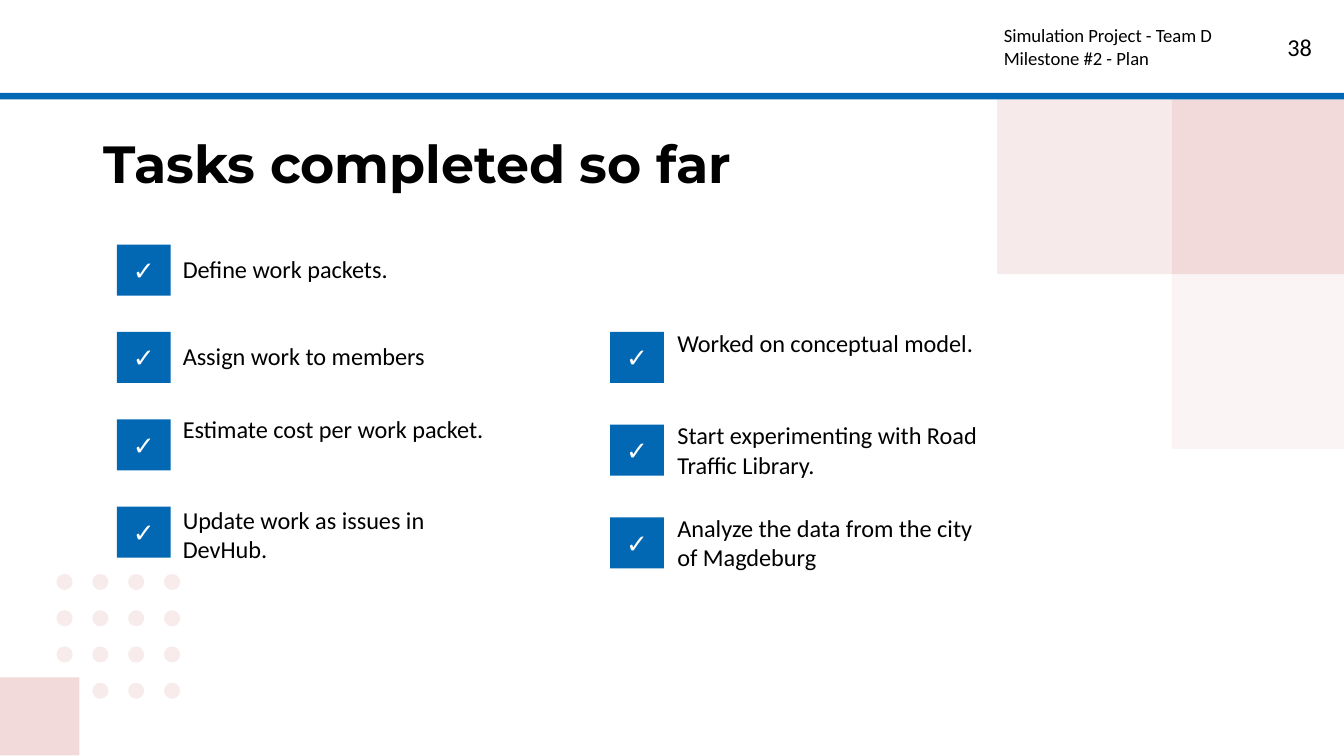
from copy import deepcopy
from dataclasses import dataclass

from lxml.etree import SubElement
from pptx import Presentation
from pptx.dml.color import RGBColor
from pptx.enum.shapes import MSO_SHAPE as SHAPE
from pptx.enum.text import MSO_ANCHOR as ANCHOR, MSO_AUTO_SIZE as AUTO, PP_ALIGN as ALIGN
from pptx.oxml.ns import qn
from pptx.util import Inches, Pt


@dataclass(frozen=True)
class Theme:
    blue: str = "0268B4"
    rose: str = "F2DADA"
    pale_rose: str = "F7EBEB"
    white: str = "FFFFFF"
    black: str = "000000"
    heading: str = "Montserrat"
    body: str = "Calibri"
    title_size: int = 28
    check_size: int = 14
    body_size: int = 13
    header_size: int = 10


theme = Theme()
deck = Presentation()
# Widescreen, 16:9
deck.slide_width, deck.slide_height = Inches(10), Inches(10 * 9 / 16)
slide = deck.slides.add_slide(deck.slide_layouts[1])
shapes = slide.shapes


def add_block(kind, left, top, width, height, color, opacity=100):
    block = shapes.add_shape(kind, Inches(left), Inches(top), Inches(width), Inches(height))
    block.shadow.inherit = False
    block.fill.solid()
    block.fill.fore_color.rgb = RGBColor.from_string(color)
    block.line.fill.background()
    if opacity < 100:
        tint = block.fill._xPr.find(qn("a:solidFill"))[0]
        SubElement(tint, qn("a:alpha"), val=str(opacity * 1000))
    return block


def write(holder, text, size, font=theme.body, color=theme.black, bold=False,
          align=ALIGN.LEFT, anchor=ANCHOR.TOP, side=0.1, after=0):
    frame = holder.text_frame
    frame.text = text
    frame.word_wrap = True
    frame.auto_size = AUTO.NONE
    frame.vertical_anchor = anchor
    frame.margin_left = frame.margin_right = Inches(side)
    frame.margin_top = frame.margin_bottom = Inches(0.1)
    for paragraph in frame.paragraphs:
        paragraph.alignment = align
        paragraph.space_before, paragraph.space_after = Pt(0), Pt(after)
        for run in paragraph.runs:
            run.font.name, run.font.size, run.font.bold = font, Pt(size), bold
            run.font.color.rgb = RGBColor.from_string(color)


# Dot grid, without its bottom left dot
for row in range(4):
    for column in range(4):
        if (row, column) != (3, 0):
            add_block(SHAPE.OVAL, 0.42 + 0.8 * column / 3, 4.27 + 0.27 * row,
                      0.12, 0.12, theme.pale_rose)

# Corner squares
add_block(SHAPE.RECTANGLE, 0, 5.04, 0.59, 0.58, theme.rose)
for left, top, width, opacity in [(8.72, 0.74, 1.28, 100), (8.72, 2.04, 1.28, 28),
                                  (7.42, 0.74, 1.3, 55)]:
    add_block(SHAPE.RECTANGLE, left, top, width, 1.3, theme.rose, opacity)

# Header band
add_block(SHAPE.RECTANGLE, 0, 0, 10, 0.69, theme.white)
add_block(SHAPE.RECTANGLE, 0, 0.69, 10, 0.05, theme.blue)
page_number = shapes.add_textbox(Inches(9.26), Inches(0.14), Inches(0.6), Inches(0.43))
write(page_number, "38", theme.body_size, align=ALIGN.RIGHT)
project = shapes.add_textbox(Inches(7.37), Inches(0.08), Inches(2.08), Inches(0.52))
write(project, "Simulation Project - Team D\nMilestone #2 - Plan", theme.header_size)

# Title, brought in front of the decoration
title = shapes.title
title.left, title.top = Inches(0.67), Inches(0.88)
title.width, title.height = Inches(8.44), Inches(0.63)
write(title, "Tasks completed so far", theme.title_size, theme.heading, bold=True)
shapes._spTree.append(title._element)

# Task columns: check left, text left, first check top, check pitch, then
# each task with its text top, width and height
columns = [
    (0.87, 1.26, 1.82, 0.65, [
        ("Define work packets.", 1.79, 2.11, 0.43),
        ("Assign work to members", 2.44, 2.71, 0.43),
        ("Estimate cost per work packet.", 2.98, 2.71, 0.63),
        ("Update work as issues in DevHub.", 3.66, 2.43, 0.63),
    ]),
    (4.54, 4.94, 2.47, 0.69, [
        ("Worked on conceptual model.", 2.34, 2.43, 0.63),
        ("Start experimenting with Road Traffic Library.", 3.03, 2.43, 0.63),
        ("Analyze the data from the city of Magdeburg", 3.72, 2.43, 0.63),
    ]),
]
body = slide.placeholders[1]._element
shapes._spTree.remove(body)

for check_left, text_left, first_top, pitch, tasks in columns:
    for index, (wording, top, width, height) in enumerate(tasks):
        check = add_block(SHAPE.RECTANGLE, check_left, first_top + pitch * index,
                          0.4, 0.38, theme.blue)
        write(check, "✓", theme.check_size, theme.heading, theme.white, bold=True,
              align=ALIGN.CENTER, anchor=ANCHOR.MIDDLE, side=0)

        # Each task is its own body placeholder with a unique id
        task_body = deepcopy(body)
        task_body.nvSpPr.cNvPr.set("id", str(check.shape_id + 1))
        shapes._spTree.append(task_body)
        task = shapes[-1]
        task.left, task.top = Inches(text_left), Inches(top)
        task.width, task.height = Inches(width), Inches(height)
        write(task, wording, theme.body_size, after=8)
        properties = task.text_frame.paragraphs[0]._p.get_or_add_pPr()
        properties.set("marL", "0")
        properties.set("indent", "0")
        SubElement(properties, qn("a:buNone"))

deck.save("out.pptx")
